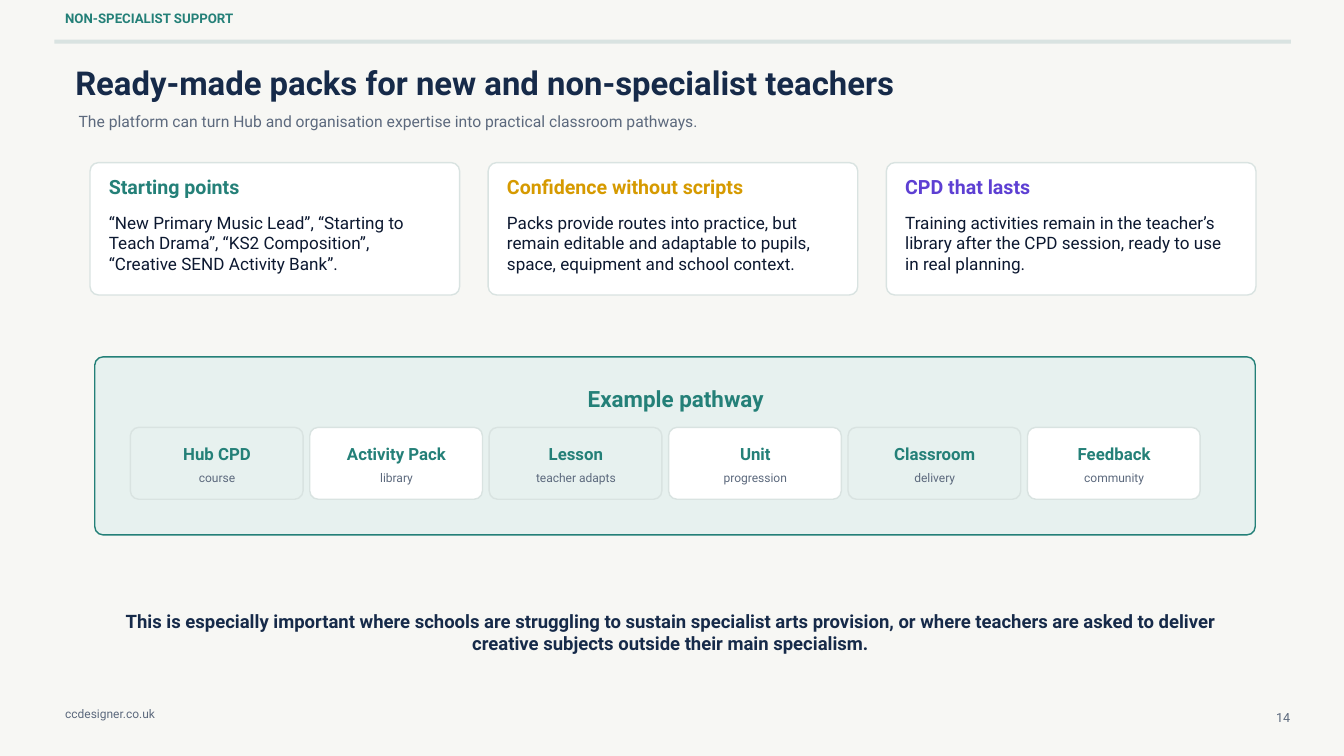
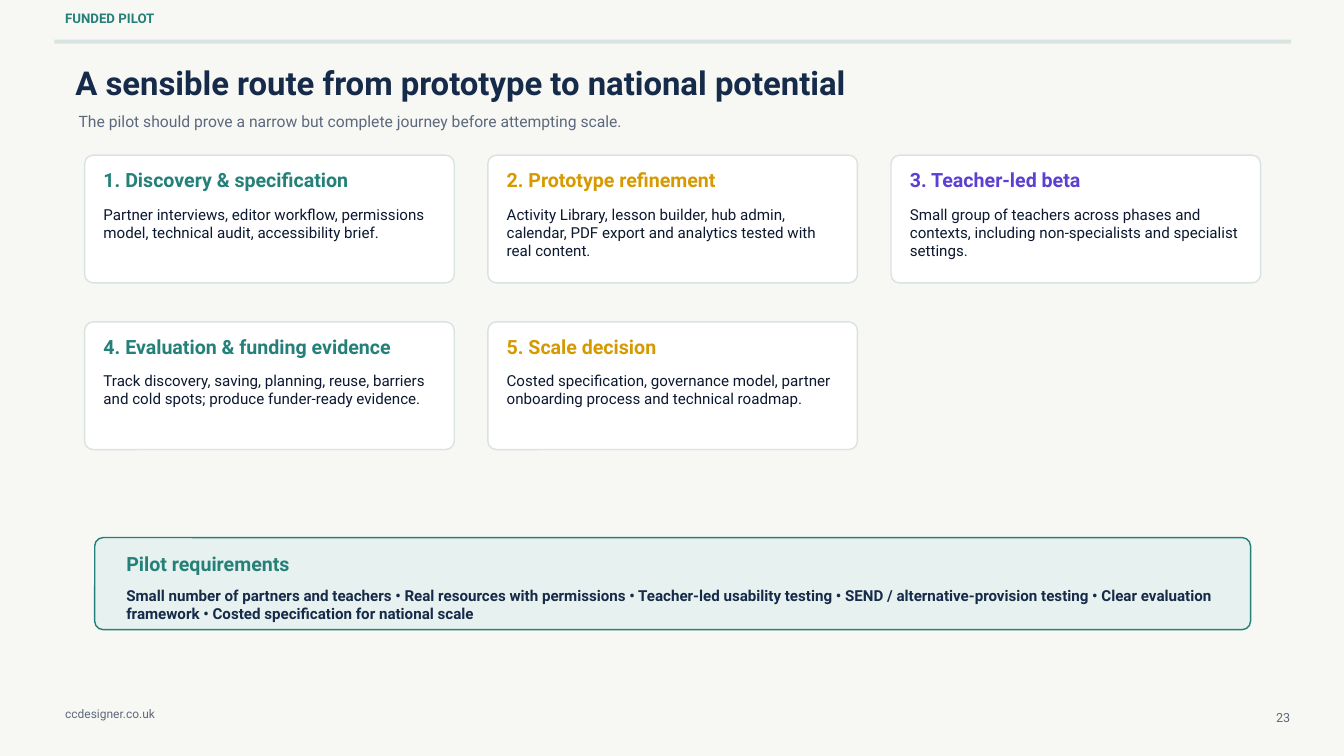
from pptx import Presentation
from pptx.dml.color import RGBColor
from pptx.enum.shapes import MSO_SHAPE
from pptx.enum.text import MSO_ANCHOR, MSO_AUTO_SIZE, PP_ALIGN
from pptx.util import Inches, Pt

FONT = "Roboto"
PAPER = "F7F7F4"
WHITE = "FFFFFF"
RULE = "D9E3E1"
MINT = "E7F1EF"
TEAL = "248078"
GOLD = "D69A00"
VIOLET = "5D3FD3"
NAVY = "162A49"
INK = "0C1830"
SLATE = "5C697D"
ACCENTS = [TEAL, GOLD, VIOLET]

CORNER = 0.125
LINE_HEIGHT = 1.2
CARD_WIDTH = 5.5
CARD_COLUMNS = 3


def paint(color_format, value):
    color_format.rgb = RGBColor.from_string(value)


def fill_solid(fill, value):
    fill.solid()
    paint(fill.fore_color, value)


def write(box, text, size, color, bold=False, align=PP_ALIGN.LEFT):
    frame = box.text_frame
    frame.word_wrap = True
    frame.auto_size = MSO_AUTO_SIZE.NONE
    frame.vertical_anchor = MSO_ANCHOR.TOP
    frame.margin_left = frame.margin_right = 0
    frame.margin_top = frame.margin_bottom = 0
    para = frame.paragraphs[0]
    para.alignment = align
    para.line_spacing = Pt(round(size * LINE_HEIGHT, 1))
    para.space_before = Pt(0)
    span = para.add_run()
    span.text = text
    span.font.name = FONT
    span.font.size = Pt(size)
    span.font.bold = bold
    paint(span.font.color, color)


def add_text(page, left, top, width, height, text, **style):
    box = page.shapes.add_textbox(
        Inches(left), Inches(top), Inches(width), Inches(height))
    write(box, text, **style)


def add_block(page, left, top, width, height, fill, line=None, corner=0):
    kind = MSO_SHAPE.ROUNDED_RECTANGLE if corner else MSO_SHAPE.RECTANGLE
    block = page.shapes.add_shape(
        kind, Inches(left), Inches(top), Inches(width), Inches(height))
    block.shadow.inherit = False
    fill_solid(block.fill, fill)
    if corner:
        block.adjustments[0] = corner / min(width, height)
    if line:
        paint(block.line.color, line)
        block.line.width = Pt(1.5)
    else:
        block.line.fill.background()


def add_page(deck, section, title, subtitle, number):
    page = deck.slides.add_slide(deck.slide_layouts.get_by_name("Title Only"))
    add_block(page, 0.81, 0.59, 18.4, 0.06, RULE)
    add_text(page, 0.97, 0.15, 9.3, 0.36, section, size=14.2, color=TEAL, bold=True)
    add_text(page, 18.82, 10.56, 0.38, 0.31, number,
             size=13.5, color=SLATE, align=PP_ALIGN.RIGHT)
    add_text(page, 0.97, 10.52, 3.3, 0.31, "ccdesigner.co.uk", size=12.8, color=SLATE)
    heading = page.shapes.title
    heading.left, heading.top = Inches(1.12), Inches(0.93)
    heading.width, heading.height = Inches(13.8), Inches(0.72)
    write(heading, title, size=35.2, color=NAVY, bold=True)
    add_text(page, 1.17, 1.67, 17.25, 0.34, subtitle, size=16.8, color=SLATE)
    return page


def add_card(page, left, top, height, title, body, accent, body_size):
    add_block(page, left, top, CARD_WIDTH, height, WHITE, RULE, CORNER)
    inner_left, inner_width = left + 0.28, CARD_WIDTH - 0.57
    add_text(page, inner_left, top + 0.19, inner_width, 0.49, title,
             size=21, color=accent, bold=True)
    add_text(page, inner_left, top + 0.74, inner_width, height - 0.86, body,
             size=body_size, color=INK)


def add_card_grid(page, left, top, width, card_height, cards, body_size, row_gap=0):
    column_step = (width - CARD_WIDTH) / (CARD_COLUMNS - 1)
    for index, (title, body) in enumerate(cards):
        row, column = divmod(index, CARD_COLUMNS)
        add_card(page, left + column * column_step,
                 top + row * (card_height + row_gap), card_height,
                 title, body, ACCENTS[column], body_size)


def add_pathway(page, left, top, width, height, title, steps):
    step_width, step_height, gap = 2.57, 1.07, 0.1
    add_block(page, left, top, width, height, MINT, TEAL, CORNER)
    add_text(page, left + 0.47, top + 0.42, 16.35, 0.38, title,
             size=24, color=TEAL, bold=True, align=PP_ALIGN.CENTER)
    step_top = top + 1.05
    for index, (name, detail) in enumerate(steps):
        step_left = left + 0.53 + index * (step_width + gap)
        add_block(page, step_left, step_top, step_width, step_height,
                  WHITE if index % 2 else MINT, RULE, CORNER)
        add_text(page, step_left + 0.09, step_top + 0.24, 2.4, 0.33, name,
                 size=18, color=TEAL, bold=True, align=PP_ALIGN.CENTER)
        add_text(page, step_left + 0.09, step_top + 0.64, 2.4, 0.27, detail,
                 size=12.9, color=SLATE, align=PP_ALIGN.CENTER)


def add_requirements(page, left, top, width, height, title, items):
    add_block(page, left, top, width, height, MINT, TEAL, CORNER)
    add_text(page, left + 0.47, top + 0.21, 16.35, 0.31, title,
             size=21, color=TEAL, bold=True)
    add_text(page, left + 0.47, top + 0.73, 16.8, 0.52, " • ".join(items),
             size=16.2, color=NAVY, bold=True)


def add_support_page(deck):
    page = add_page(
        deck, "NON-SPECIALIST SUPPORT",
        "Ready-made packs for new and non-specialist teachers",
        "The platform can turn Hub and organisation expertise into practical classroom pathways.",
        "14")
    add_card_grid(page, 1.34, 2.42, 17.35, 1.97, [
        ("Starting points",
         "“New Primary Music Lead”, “Starting to Teach Drama”, “KS2 Composition”, "
         "“Creative SEND Activity Bank”."),
        ("Confidence without scripts",
         "Packs provide routes into practice, but remain editable and adaptable to pupils, "
         "space, equipment and school context."),
        ("CPD that lasts",
         "Training activities remain in the teacher’s library after the CPD session, "
         "ready to use in real planning."),
    ], body_size=18.3)
    add_pathway(page, 1.41, 5.31, 17.27, 2.65, "Example pathway", [
        ("Hub CPD", "course"),
        ("Activity Pack", "library"),
        ("Lesson", "teacher adapts"),
        ("Unit", "progression"),
        ("Classroom", "delivery"),
        ("Feedback", "community"),
    ])
    add_text(page, 1.8, 9.07, 16.35, 0.68,
             "This is especially important where schools are struggling to sustain specialist "
             "arts provision, or where teachers are asked to deliver creative subjects outside "
             "their main specialism.",
             size=19.8, color=NAVY, bold=True, align=PP_ALIGN.CENTER)


def add_pilot_page(deck):
    page = add_page(
        deck, "FUNDED PILOT",
        "A sensible route from prototype to national potential",
        "The pilot should prove a narrow but complete journey before attempting scale.",
        "23")
    add_card_grid(page, 1.26, 2.31, 17.5, 1.9, [
        ("1. Discovery & specification",
         "Partner interviews, editor workflow, permissions model, technical audit, "
         "accessibility brief."),
        ("2. Prototype refinement",
         "Activity Library, lesson builder, hub admin, calendar, PDF export and analytics "
         "tested with real content."),
        ("3. Teacher-led beta",
         "Small group of teachers across phases and contexts, including non-specialists "
         "and specialist settings."),
        ("4. Evaluation & funding evidence",
         "Track discovery, saving, planning, reuse, barriers and cold spots; produce "
         "funder-ready evidence."),
        ("5. Scale decision",
         "Costed specification, governance model, partner onboarding process and "
         "technical roadmap."),
    ], body_size=16.2, row_gap=0.58)
    add_requirements(page, 1.41, 8, 17.2, 1.37, "Pilot requirements", [
        "Small number of partners and teachers",
        "Real resources with permissions",
        "Teacher-led usability testing",
        "SEND / alternative-provision testing",
        "Clear evaluation framework",
        "Costed specification for national scale",
    ])


def main():
    deck = Presentation()
    deck.slide_width, deck.slide_height = Inches(20), Inches(11.25)
    fill_solid(deck.slide_master.background.fill, PAPER)
    add_support_page(deck)
    add_pilot_page(deck)
    deck.save("out.pptx")


if __name__ == "__main__":
    main()
